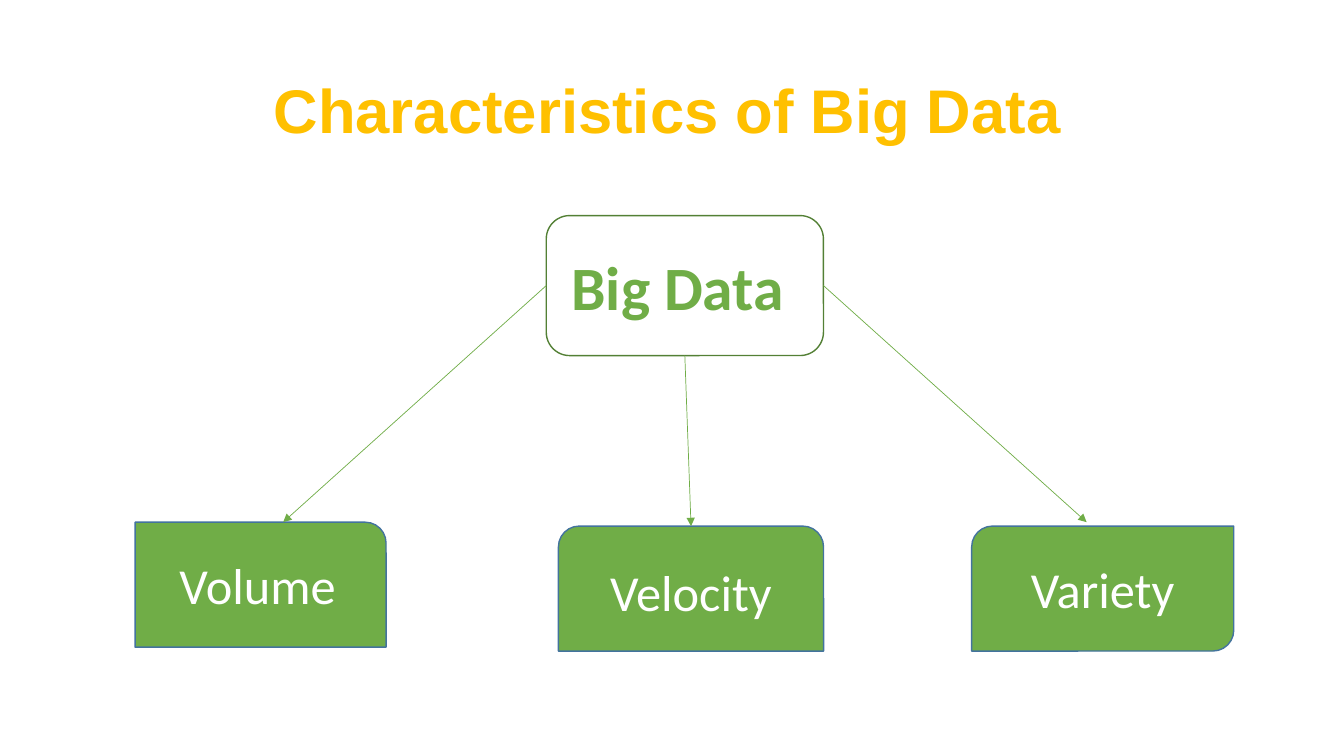
"""Build the slide on the characteristics of big data."""
from dataclasses import dataclass

from pptx import Presentation
from pptx.dml.color import RGBColor
from pptx.enum.shapes import MSO_CONNECTOR, MSO_SHAPE as Preset
from pptx.enum.text import MSO_ANCHOR as Anchor, PP_ALIGN as Align
from pptx.oxml.ns import qn
from pptx.util import Pt
from lxml.etree import SubElement

TOP, LEFT, BOTTOM, RIGHT = range(4)


@dataclass(frozen=True)
class Theme:
    """Colours, fonts and type sizes of the slide."""
    gold: str = "FFC000"
    green: str = "70AD47"
    dark_green: str = "538035"
    blue: str = "43739E"
    white: str = "FFFFFF"
    title_font: str = "Arial"
    body_font: str = "Calibri"
    large: int = 44
    medium: int = 36


THEME = Theme()


def rgb(colour):
    """Return a colour object for a hex string."""
    return RGBColor.from_string(colour)


def write(frame, text, font, size, colour, bold, align):
    """Write one run into a vertically centred text frame."""
    frame.word_wrap = True
    frame.vertical_anchor = Anchor.MIDDLE
    paragraph = frame.paragraphs[0]
    paragraph.alignment = align
    run = paragraph.add_run()
    run.text = text
    run.font.name = font
    run.font.size = Pt(size)
    run.font.bold = bold
    run.font.color.rgb = rgb(colour)


def add_title(slide, text):
    """Add the slide heading, inset from the left of its box."""
    heading = slide.shapes.add_textbox(Pt(66), Pt(28.8), Pt(828), Pt(104.4))
    frame = heading.text_frame
    frame.margin_left = Pt(129.5)
    write(frame, text, THEME.title_font, THEME.large, THEME.gold, True, Align.LEFT)
    frame.paragraphs[0].line_spacing = 0.9


def add_box(slide, preset, bounds, text, fill, line, size, colour, bold=False):
    """Add a filled, outlined box with a centred label."""
    box = slide.shapes.add_shape(preset, *map(Pt, bounds))
    box.shadow.inherit = False
    box.fill.solid()
    box.fill.fore_color.rgb = rgb(fill)
    box.line.color.rgb = rgb(line)
    box.line.width = Pt(1)
    write(box.text_frame, text, THEME.body_font, size, colour, bold, Align.CENTER)
    return box


def add_arrow(slide, source, side, tip, target=None):
    """Add an arrow from a side of the source to a tip, joined to any target's top."""
    arrow = slide.shapes.add_connector(MSO_CONNECTOR.STRAIGHT, 0, 0, *map(Pt, tip))
    arrow.begin_connect(source, side)
    if target is not None:
        arrow.end_connect(target, TOP)
    arrow.line.color.rgb = rgb(THEME.green)
    arrow.line.width = Pt(0.5)
    SubElement(arrow.line._get_or_add_ln(), qn("a:tailEnd"), type="triangle")
    SubElement(arrow._element.spPr, qn("a:effectLst"))


def main():
    """Build and save the slide."""
    deck = Presentation()
    deck.slide_width, deck.slide_height = Pt(960), Pt(540)
    slide = deck.slides.add_slide(deck.slide_layouts[6])

    add_title(slide, "Characteristics of Big Data")
    big_data = add_box(slide, Preset.ROUNDED_RECTANGLE, (390.2, 154, 198, 100),
                       "Big Data ", THEME.white, THEME.dark_green,
                       THEME.large, THEME.green, bold=True)

    traits = (
        ("Volume", Preset.ROUND_1_RECTANGLE, (96.5, 373, 179.3, 89.3)),
        ("Velocity", Preset.ROUND_2_SAME_RECTANGLE, (398.9, 375.8, 189.4, 89.3)),
        ("Variety", Preset.ROUND_2_DIAG_RECTANGLE, (694.1, 375.8, 187.2, 89.3)),
    )
    boxes = {
        name: add_box(slide, preset, bounds, name, THEME.green, THEME.blue,
                      THEME.medium, THEME.white)
        for name, preset, bounds in traits
    }

    add_arrow(slide, big_data, LEFT, (202.3, 373))
    add_arrow(slide, big_data, BOTTOM, (493.6, 375.8), boxes["Velocity"])
    add_arrow(slide, big_data, RIGHT, (776.2, 373))
    deck.save("out.pptx")


if __name__ == "__main__":
    main()
